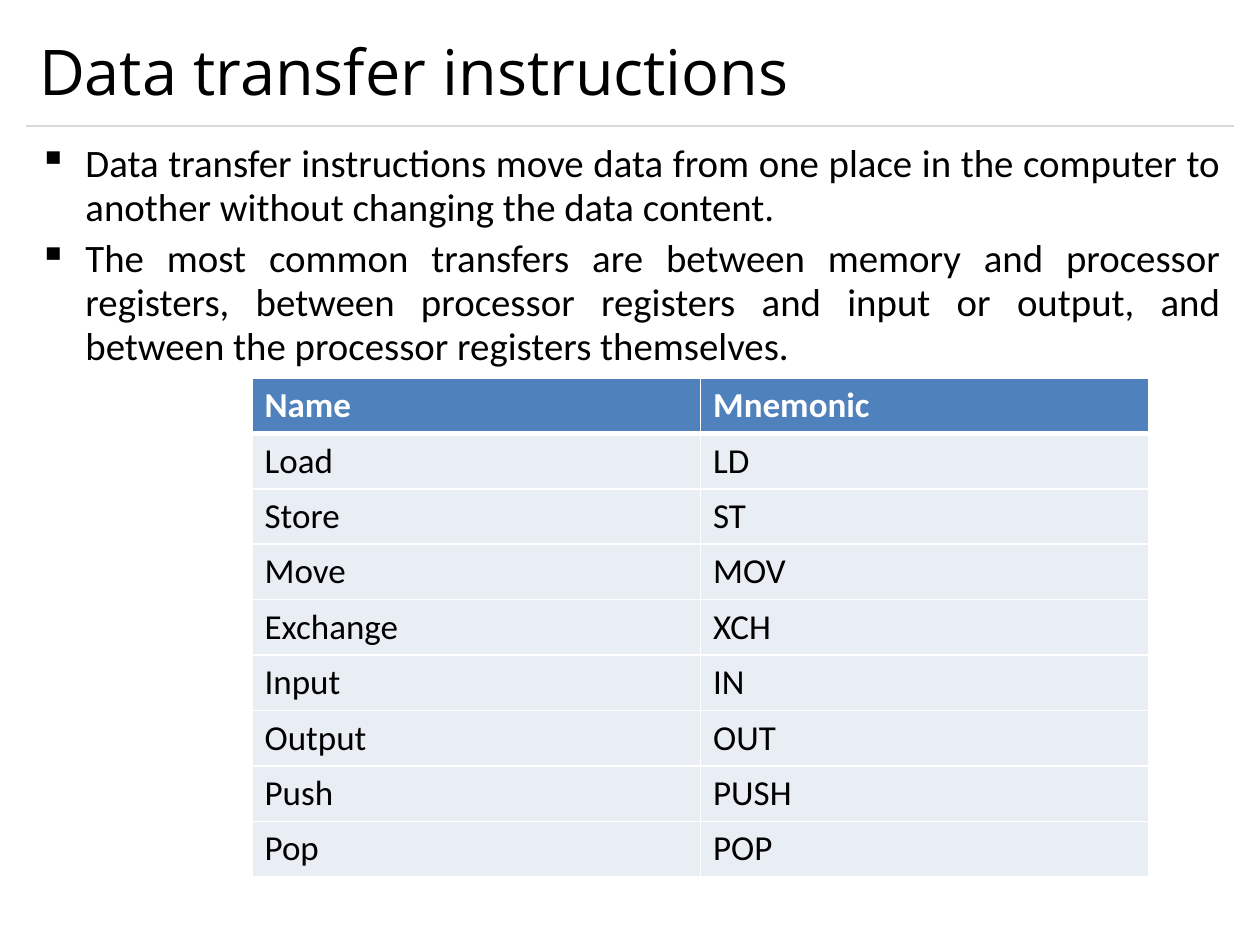
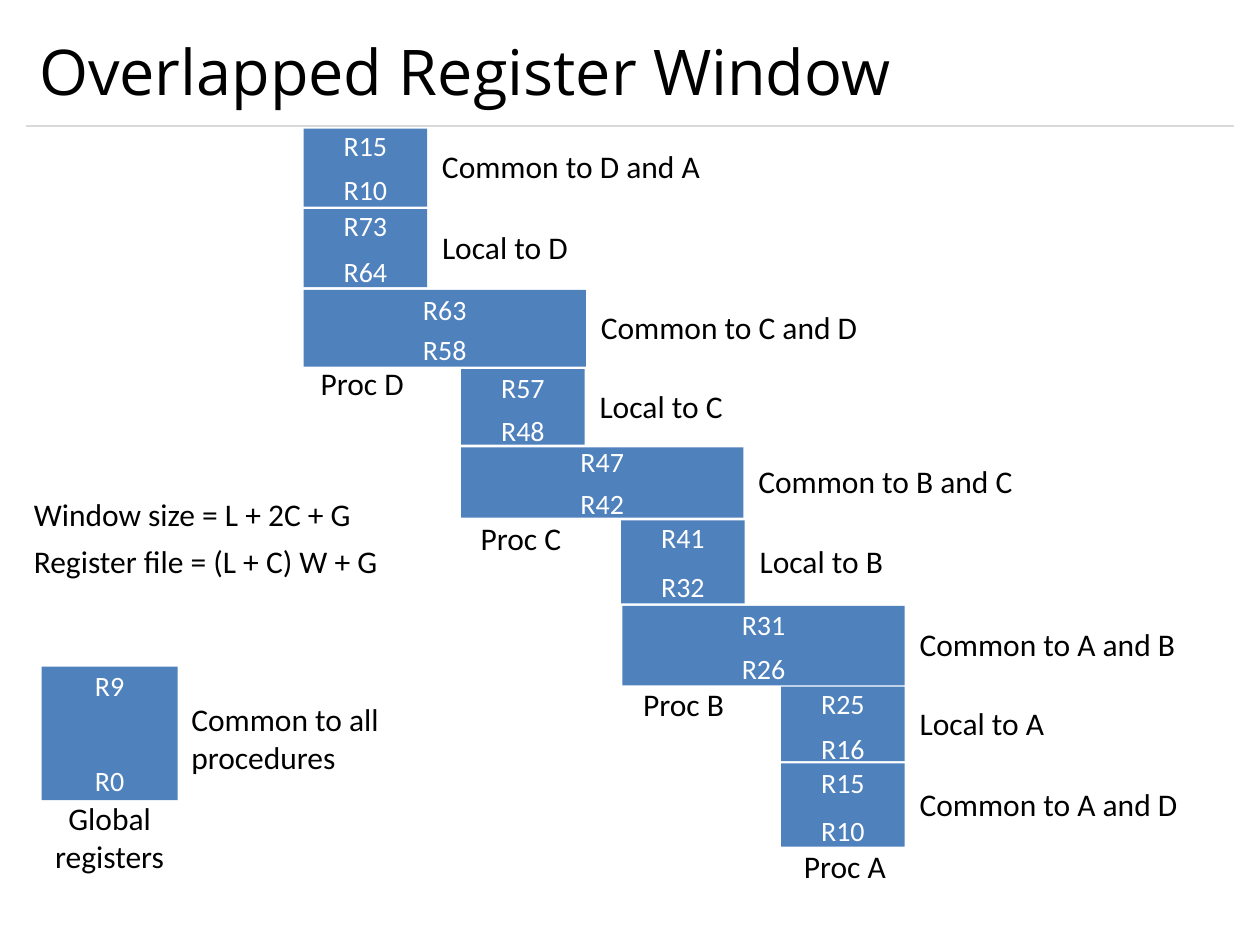
from dataclasses import dataclass

import lxml.etree
import pptx
import pptx.dml.color
import pptx.enum.shapes
import pptx.enum.text
import pptx.oxml.ns
import pptx.util

Inches = pptx.util.Inches
Pt = pptx.util.Pt
Color = pptx.dml.color.RGBColor
Align = pptx.enum.text.PP_ALIGN
qn = pptx.oxml.ns.qn

BLACK = Color(0x00, 0x00, 0x00)
WHITE = Color(0xFF, 0xFF, 0xFF)
BLUE = Color(0x4F, 0x81, 0xBD)
PALE = Color(0xE9, 0xED, 0xF4)
RULE_GREY = Color(0xD9, 0xD9, 0xD9)
TITLE_FONT = "Open Sans"
BODY_FONT = "Calibri"

MARGIN = 0.21
CONTENT_WIDTH = 9.58
NARROW = 0.98
WIDE = 2.24
LABEL_HEIGHT = 0.4
COMMON_LABEL_WIDTH = 2.44
LOCAL_LABEL_WIDTH = 2.19

BULLETS = (
    "Data transfer instructions move data from one place in the computer to "
    "another without changing the data content.",
    "The most common transfers are between memory and processor registers, "
    "between processor registers and input or output, and between the "
    "processor registers themselves.",
)
INSTRUCTIONS = (
    ("Name", "Mnemonic"),
    ("Load", "LD"),
    ("Store", "ST"),
    ("Move", "MOV"),
    ("Exchange", "XCH"),
    ("Input", "IN"),
    ("Output", "OUT"),
    ("Push", "PUSH"),
    ("Pop", "POP"),
)


@dataclass(frozen=True)
class RegisterBlock:
    left: float
    top: float
    width: float
    height: float
    high: str
    high_top: float
    low: str
    low_top: float
    label: str = ""


@dataclass(frozen=True)
class Note:
    left: float
    top: float
    width: float
    height: float
    text: str
    align: Align = Align.LEFT


BLOCKS = (
    RegisterBlock(2.41, 1.02, NARROW, 0.62, "R15", 0.97, "R10", 1.32, "Common to D and A"),
    RegisterBlock(2.41, 1.66, NARROW, 0.62, "R73", 1.61, "R64", 1.97, "Local to D"),
    RegisterBlock(2.41, 2.3, WIDE, 0.61, "R63", 2.27, "R58", 2.59, "Common to C and D"),
    RegisterBlock(3.66, 2.93, NARROW, 0.6, "R57", 2.89, "R48", 3.23, "Local to C"),
    RegisterBlock(3.66, 3.55, WIDE, 0.56, "R47", 3.48, "R42", 3.81, "Common to B and C"),
    RegisterBlock(4.93, 4.13, NARROW, 0.66, "R41", 4.08, "R32", 4.47, "Local to B"),
    RegisterBlock(4.94, 4.81, WIDE, 0.63, "R31", 4.77, "R26", 5.12, "Common to A and B"),
    RegisterBlock(6.2, 5.45, NARROW, 0.59, "R25", 5.4, "R16", 5.76, "Local to A"),
    RegisterBlock(6.2, 6.06, NARROW, 0.66, "R15", 6.03, "R10", 6.41, "Common to A and D"),
    RegisterBlock(0.33, 5.29, 1.08, 1.06, "R9", 5.26, "R0", 6.01),
)
NOTES = (
    Note(0.33, 6.29, 1.08, 0.71, "Global registers", Align.CENTER),
    Note(1.42, 5.51, 1.79, 0.71, "Common to all procedures"),
    Note(2.42, 2.84, 0.91, LABEL_HEIGHT, "Proc D", Align.CENTER),
    Note(3.68, 4.07, 0.91, LABEL_HEIGHT, "Proc C", Align.CENTER),
    Note(4.97, 5.39, 0.91, LABEL_HEIGHT, "Proc B", Align.CENTER),
    Note(6.25, 6.67, 0.91, LABEL_HEIGHT, "Proc A", Align.CENTER),
    Note(0.17, 3.88, 2.81, 0.44, "Window size = L + 2C + G"),
    Note(0.17, 4.25, 3.09, 0.44, "Register file = (L + C) W + G"),
)


def add_span(para, text: str, size: float, color: Color,
             font: str = BODY_FONT, bold: bool = False) -> None:
    span = para.add_run()
    span.text = text
    span.font.size = Pt(size)
    span.font.name = font
    span.font.bold = bold
    span.font.color.rgb = color


def add_note(shapes, note: Note, size: float = 18, color: Color = BLACK) -> None:
    box = shapes.add_textbox(Inches(note.left), Inches(note.top),
                             Inches(note.width), Inches(note.height))
    box.text_frame.word_wrap = True
    box.text_frame.auto_size = pptx.enum.text.MSO_AUTO_SIZE.SHAPE_TO_FIT_TEXT
    para = box.text_frame.paragraphs[0]
    para.alignment = note.align
    add_span(para, note.text, size, color)


def add_page(deck, title: str):
    page = deck.slides.add_slide(deck.slide_layouts.get_by_name("Title Only"))
    box = page.shapes.title
    box.left, box.top = Inches(MARGIN), Inches(0.12)
    box.width, box.height = Inches(CONTENT_WIDTH), Inches(0.88)
    frame = box.text_frame
    frame.word_wrap = True
    frame.auto_size = pptx.enum.text.MSO_AUTO_SIZE.NONE
    frame.vertical_anchor = pptx.enum.text.MSO_ANCHOR.MIDDLE
    frame.paragraphs[0].alignment = Align.LEFT
    add_span(frame.paragraphs[0], title, 36, BLACK, TITLE_FONT)

    rule = page.shapes.add_connector(
        pptx.enum.shapes.MSO_CONNECTOR.STRAIGHT, Inches(MARGIN), Inches(1),
        Inches(MARGIN + CONTENT_WIDTH), Inches(1))
    rule.line.color.rgb = RULE_GREY
    rule.line.width = Pt(0.75)
    lxml.etree.SubElement(rule._element.spPr, qn("a:effectLst"))
    return page


def add_bullets(page) -> None:
    box = page.shapes.add_textbox(Inches(MARGIN), Inches(1.08),
                                  Inches(CONTENT_WIDTH), Inches(2))
    frame = box.text_frame
    frame.word_wrap = True
    for index, text in enumerate(BULLETS):
        para = frame.add_paragraph() if index else frame.paragraphs[0]
        para.alignment = Align.JUSTIFY
        para.line_spacing = 0.94
        para.space_before = Pt(4.4)
        properties = para._p.get_or_add_pPr()
        properties.set("marL", str(Inches(0.37)))
        properties.set("indent", str(Inches(-0.37)))
        lxml.etree.SubElement(properties, qn("a:buChar"), char="▪")
        add_span(para, text, 22.2, BLACK)


def set_cell_borders(cell, bottom: float) -> None:
    properties = cell._tc.get_or_add_tcPr()
    for side, width in (("L", 1), ("R", 1), ("T", 1), ("B", bottom)):
        border = lxml.etree.SubElement(properties, qn(f"a:ln{side}"), w=str(Pt(width)))
        fill = lxml.etree.SubElement(border, qn("a:solidFill"))
        lxml.etree.SubElement(fill, qn("a:srgbClr"), val=str(WHITE))


def add_instruction_table(page) -> None:
    row_height = 0.44
    table = page.shapes.add_table(
        len(INSTRUCTIONS), 2, Inches(2), Inches(3), Inches(7.12),
        Inches(row_height * len(INSTRUCTIONS))).table
    for row_index, row in enumerate(INSTRUCTIONS):
        table.rows[row_index].height = Inches(row_height)
        header = row_index == 0
        for column_index, text in enumerate(row):
            cell = table.cell(row_index, column_index)
            set_cell_borders(cell, 3 if header else 1)
            cell.fill.solid()
            cell.fill.fore_color.rgb = BLUE if header else PALE
            add_span(cell.text_frame.paragraphs[0], text, 20,
                     WHITE if header else BLACK, bold=header)


def add_register_block(page, block: RegisterBlock) -> None:
    group = page.shapes.add_group_shape()
    box = group.shapes.add_shape(
        pptx.enum.shapes.MSO_SHAPE.RECTANGLE, Inches(block.left), Inches(block.top),
        Inches(block.width), Inches(block.height))
    box.shadow.inherit = False
    box.fill.solid()
    box.fill.fore_color.rgb = BLUE
    box.line.fill.background()
    for text, top in ((block.high, block.high_top), (block.low, block.low_top)):
        add_note(group.shapes,
                 Note(block.left, top, block.width, 0.36, text, Align.CENTER), 16, WHITE)
    if block.label:
        label_top = block.top + (block.height - LABEL_HEIGHT) / 2 - 0.01
        label_width = (COMMON_LABEL_WIDTH if block.label.startswith("Common")
                       else LOCAL_LABEL_WIDTH)
        add_note(page.shapes, Note(block.left + block.width + 0.02, label_top,
                                   label_width, LABEL_HEIGHT, block.label))


def main() -> None:
    deck = pptx.Presentation()
    deck.slide_width, deck.slide_height = Inches(10), Inches(7.5)

    transfer_page = add_page(deck, "Data transfer instructions")
    add_bullets(transfer_page)
    add_instruction_table(transfer_page)

    window_page = add_page(deck, "Overlapped Register Window")
    for block in BLOCKS:
        add_register_block(window_page, block)
    for note in NOTES:
        add_note(window_page.shapes, note)

    deck.save("out.pptx")


if __name__ == "__main__":
    main()
